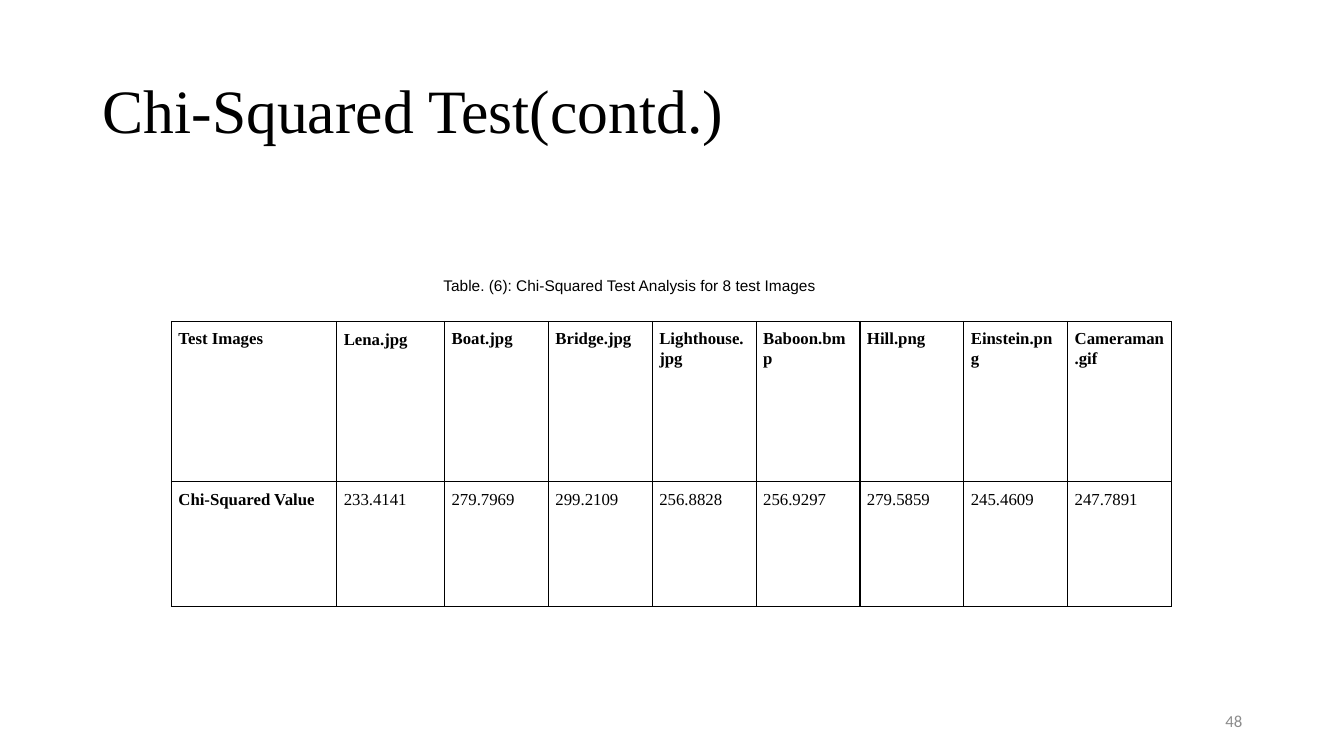
from lxml import etree
from pptx import Presentation
from pptx.dml.color import RGBColor
from pptx.enum import text
from pptx.oxml import ns
from pptx.util import Inches, Pt

TITLE = "Chi-Squared Test(contd.)"
CAPTION = "Table. (6): Chi-Squared Test Analysis for 8 test Images"
PAGE_NUMBER = "48"
ROWS = [
    ["Test Images", "Lena.jpg", "Boat.jpg", "Bridge.jpg", "Lighthouse.jpg",
     "Baboon.bmp", "Hill.png", "Einstein.png", "Cameraman.gif"],
    ["Chi-Squared Value", "233.4141", "279.7969", "299.2109", "256.8828",
     "256.9297", "279.5859", "245.4609", "247.7891"],
]
COLUMN_WIDTHS = [1.64, 1.07] + [1.03] * 7
ROW_HEIGHTS = [1.59, 1.24]
CELL_MARGIN = 0.07
SERIF = "Times New Roman"
BLACK = RGBColor(0x00, 0x00, 0x00)
GRAY = RGBColor(0x8C, 0x8C, 0x8C)


def set_font(paragraph, name, size, color, bold=False):
    font = paragraph.font
    font.name, font.size, font.bold = name, Pt(size), bold
    font.color.rgb = color


def add_text(slide, box, content, name, size, color,
             align=text.PP_ALIGN.LEFT, anchor=text.MSO_ANCHOR.MIDDLE):
    frame = slide.shapes.add_textbox(*map(Inches, box)).text_frame
    frame.word_wrap = True
    frame.vertical_anchor = anchor
    paragraph = frame.paragraphs[0]
    paragraph.text = content
    paragraph.alignment = align
    set_font(paragraph, name, size, color)
    return paragraph


def add_borders(cell):
    """Draw a thin black line on all four sides of the cell."""
    properties = cell._tc.get_or_add_tcPr()
    for index, side in enumerate(("lnL", "lnR", "lnT", "lnB")):
        line = etree.Element(ns.qn("a:" + side), w=str(Pt(1)))
        fill = etree.SubElement(line, ns.qn("a:solidFill"))
        etree.SubElement(fill, ns.qn("a:srgbClr"), val=str(BLACK))
        properties.insert(index, line)


def fill_cell(cell, content, bold, is_first_image):
    cell.fill.background()
    cell.margin_left = cell.margin_right = Inches(CELL_MARGIN)
    cell.margin_top = cell.margin_bottom = Inches(0 if is_first_image else CELL_MARGIN)
    paragraph = cell.text_frame.paragraphs[0]
    paragraph.text = content
    paragraph.line_spacing = 1.5 if is_first_image else 1.07
    paragraph.space_after = Pt(8)
    if is_first_image:
        paragraph.alignment = text.PP_ALIGN.JUSTIFY
    set_font(paragraph, SERIF, 12, BLACK, bold)
    add_borders(cell)


def add_results(slide):
    frame = slide.shapes.add_table(
        len(ROWS), len(COLUMN_WIDTHS), Inches(1.7), Inches(3.19),
        Inches(sum(COLUMN_WIDTHS)), Inches(sum(ROW_HEIGHTS)))
    table = frame.table
    table.first_row = table.horz_banding = False
    for column, width in zip(table.columns, COLUMN_WIDTHS):
        column.width = Inches(width)
    for row, height in zip(table.rows, ROW_HEIGHTS):
        row.height = Inches(height)
    for r, values in enumerate(ROWS):
        for c, value in enumerate(values):
            fill_cell(table.cell(r, c), value, r == 0 or c == 0, (r, c) == (0, 1))


def main():
    presentation = Presentation()
    presentation.slide_width, presentation.slide_height = Inches(13.33), Inches(7.5)
    slide = presentation.slides.add_slide(presentation.slide_layouts[6])
    title = add_text(slide, (0.92, 0.4, 11.5, 1.45), TITLE, SERIF, 44, BLACK)
    title.line_spacing = 0.9
    add_results(slide)
    add_text(slide, (9.42, 6.95, 3, 0.4), PAGE_NUMBER, "Calibri", 12, GRAY,
             align=text.PP_ALIGN.RIGHT)
    add_text(slide, (4.3, 2.69, 5, 0.4), CAPTION, "Arial", 11, BLACK,
             anchor=text.MSO_ANCHOR.TOP)
    presentation.save("out.pptx")


if __name__ == "__main__":
    main()
